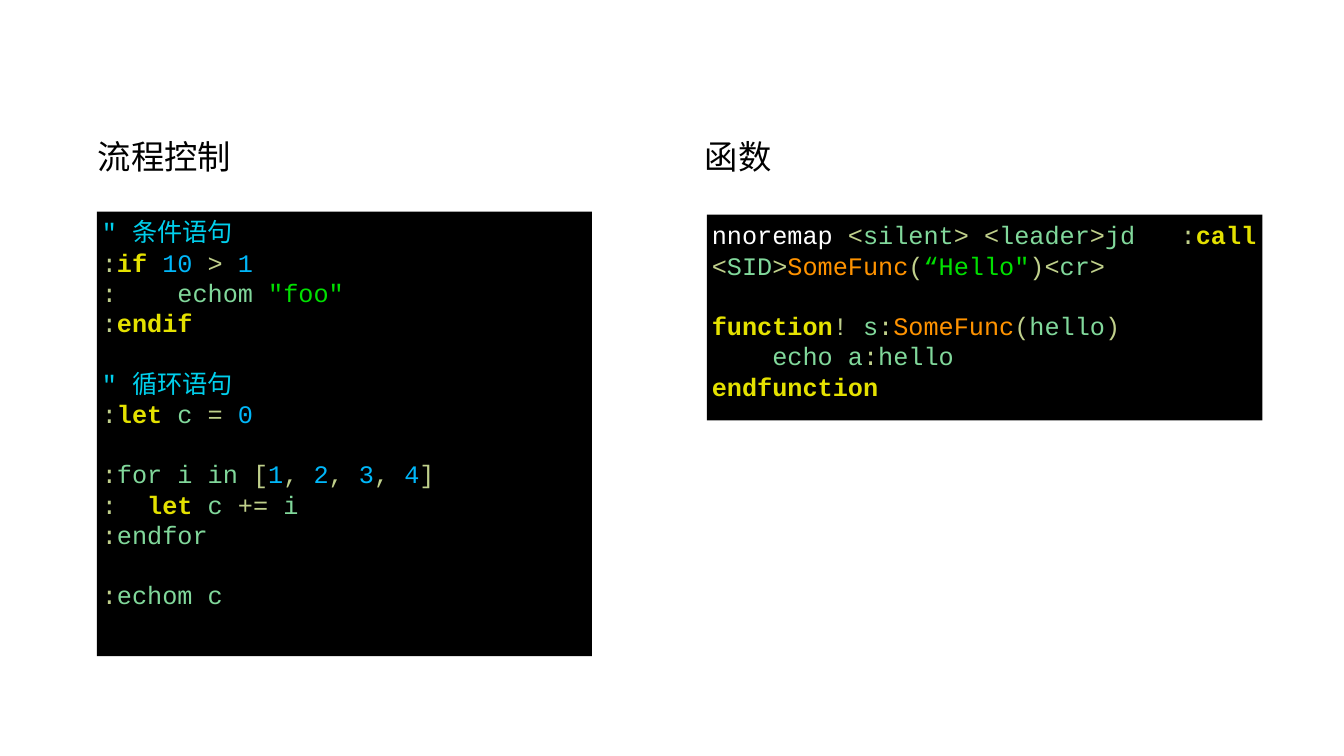
"""Build a slide that shows Vim script control flow and functions side by side."""
from dataclasses import dataclass, field
from typing import NamedTuple

from pptx import Presentation, util as u
from pptx.dml.color import RGBColor
from pptx.enum import shapes, text


@dataclass(frozen=True)
class Theme:
    """Colours, fonts and type sizes of the slide."""
    heading_font: str = "Calibri"
    code_font: str = "Courier New"
    heading_size: float = 23.8
    code_size: float = 18
    blank_line: float = 21.6
    ink: str = "000000"
    panel: str = "000000"
    syntax: dict[str, str] = field(default_factory=lambda: {
        "plain": "FFFFFF", "comment": "00CFEC", "mark": "C0D08B",
        "keyword": "E4E100", "number": "00B7F9", "word": "81D89B",
        "string": "00E000", "function": "FF9300"})


class Box(NamedTuple):
    """Place of an element in px."""
    left: int
    top: int
    width: int
    height: int


class Token(NamedTuple):
    """Piece of code with its syntax role."""
    role: str
    code: str


@dataclass(frozen=True)
class Topic:
    """Heading with the code panel below it."""
    heading: str
    heading_box: Box
    panel_box: Box
    lines: list[list[Token]]


THEME = Theme()
SCALE = 9144
INSET = 5


def emu(px: int) -> u.Emu:
    """Turn px into EMU."""
    return u.Emu(px * SCALE)


def mark(code: str) -> Token:
    """Make a punctuation token."""
    return Token("mark", code)


def word(code: str) -> Token:
    """Make an identifier token."""
    return Token("word", code)


def keyword(code: str) -> Token:
    """Make a keyword token."""
    return Token("keyword", code)


def number(code: str) -> Token:
    """Make a number token."""
    return Token("number", code)


def number_list(*values: str) -> list[Token]:
    """Make a bracketed list of number tokens."""
    items = [token for value in values for token in (mark(", "), number(value))]
    return [mark("["), *items[1:], mark("]")]


CONTROL_FLOW = [
    [Token("comment", '" 条件语句')],
    [mark(":"), keyword("if "), number("10 "), mark("> "), number("1")],
    [mark(":    "), word("echom "), Token("string", '"foo"')],
    [mark(":"), keyword("endif")],
    [],
    [Token("comment", '" 循环语句')],
    [mark(":"), keyword("let "), word("c "), mark("= "), number("0")],
    [],
    [mark(":"), word("for i in "), *number_list("1", "2", "3", "4")],
    [mark(":  "), keyword("let "), word("c "), mark("+= "), word("i")],
    [mark(":"), word("endfor")],
    [],
    [mark(":"), word("echom c")],
]
SOME_FUNC = [Token("function", "SomeFunc"), mark("(")]
FUNCTIONS = [
    [Token("plain", "nnoremap "), mark("<"), word("silent"), mark("> <"),
     word("leader"), mark(">"), word("jd   "), mark(":"), keyword("call "),
     mark("<"), word("SID"), mark(">"), *SOME_FUNC, Token("string", '“Hello"'),
     mark(")<"), word("cr"), mark(">")],
    [],
    [keyword("function"), mark("! "), word("s"), mark(":"), *SOME_FUNC,
     word("hello"), mark(")")],
    [word("    echo a"), mark(":"), word("hello")],
    [keyword("endfunction")],
]
TOPICS = [
    Topic("流程控制", Box(92, 130, 500, 55), Box(96, 210, 491, 441), CONTROL_FLOW),
    Topic("函数", Box(694, 130, 500, 55), Box(701, 213, 551, 204), FUNCTIONS),
]


def apply(target: object, formats: dict[str, object]) -> None:
    """Set every attribute in formats on target."""
    for attribute, value in formats.items():
        setattr(target, attribute, value)


def set_frame(frame, anchor: text.MSO_ANCHOR) -> None:
    """Set the margins, wrapping and anchor of a text frame."""
    margins = {f"margin_{side}": emu(INSET)
               for side in ("left", "top", "right", "bottom")}
    apply(frame, {**margins, "word_wrap": True, "vertical_anchor": anchor,
                  "auto_size": text.MSO_AUTO_SIZE.NONE})


def set_font(font, name: str, size: float, color: str, bold: bool = False) -> None:
    """Format a font."""
    apply(font, {"name": name, "size": u.Pt(size), "bold": bold})
    font.color.rgb = RGBColor.from_string(color)


def write_heading(holder, topic: Topic) -> None:
    """Place and fill a heading."""
    apply(holder, {side: emu(px) for side, px in topic.heading_box._asdict().items()})
    set_frame(holder.text_frame, text.MSO_ANCHOR.MIDDLE)
    line = holder.text_frame.paragraphs[0]
    apply(line, {"alignment": text.PP_ALIGN.LEFT, "line_spacing": 0.9})
    run = line.add_run()
    run.text = topic.heading
    set_font(run.font, THEME.heading_font, THEME.heading_size, THEME.ink)


def draw_panel(slide, topic: Topic) -> None:
    """Draw a code panel with coloured tokens."""
    panel = slide.shapes.add_shape(shapes.MSO_SHAPE.RECTANGLE,
                                   *map(emu, topic.panel_box))
    panel.shadow.inherit = False
    panel.fill.solid()
    panel.fill.fore_color.rgb = RGBColor.from_string(THEME.panel)
    panel.line.fill.background()
    frame = panel.text_frame
    set_frame(frame, text.MSO_ANCHOR.TOP)
    after_blank = False
    for index, tokens in enumerate(topic.lines):
        if tokens:
            line = frame.add_paragraph() if index else frame.paragraphs[0]
            line.alignment = text.PP_ALIGN.LEFT
            if after_blank:
                line.space_before = u.Pt(THEME.blank_line)
            for token in tokens:
                run = line.add_run()
                run.text = token.code
                set_font(run.font, THEME.code_font, THEME.code_size,
                         THEME.syntax[token.role], token.role == "keyword")
        after_blank = not tokens


def main() -> None:
    """Build and save the slide."""
    deck = Presentation()
    apply(deck, {"slide_width": emu(1333), "slide_height": emu(750)})
    slide = deck.slides.add_slide(deck.slide_layouts[5])
    for index, topic in enumerate(TOPICS):
        holder = (slide.shapes.add_textbox(*map(emu, topic.heading_box))
                  if index else slide.shapes.title)
        write_heading(holder, topic)
        draw_panel(slide, topic)
    deck.save("out.pptx")


if __name__ == "__main__":
    main()
